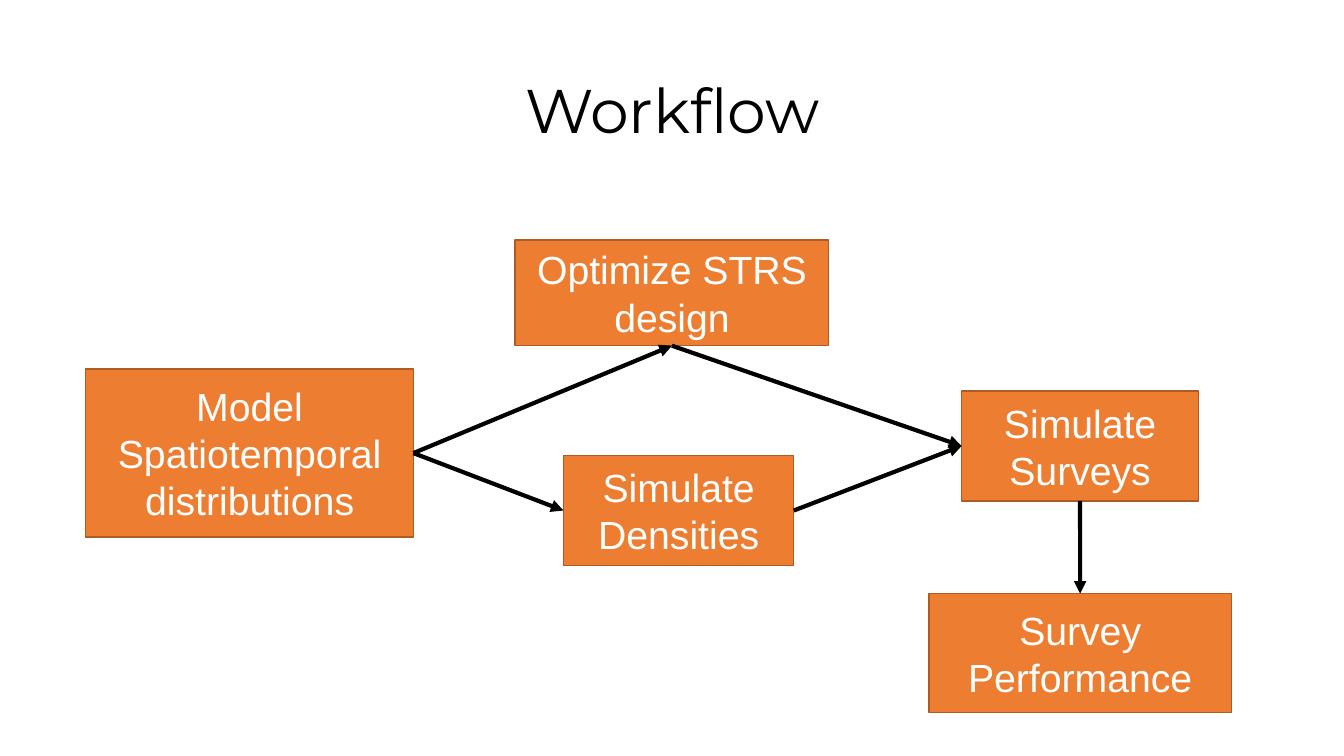
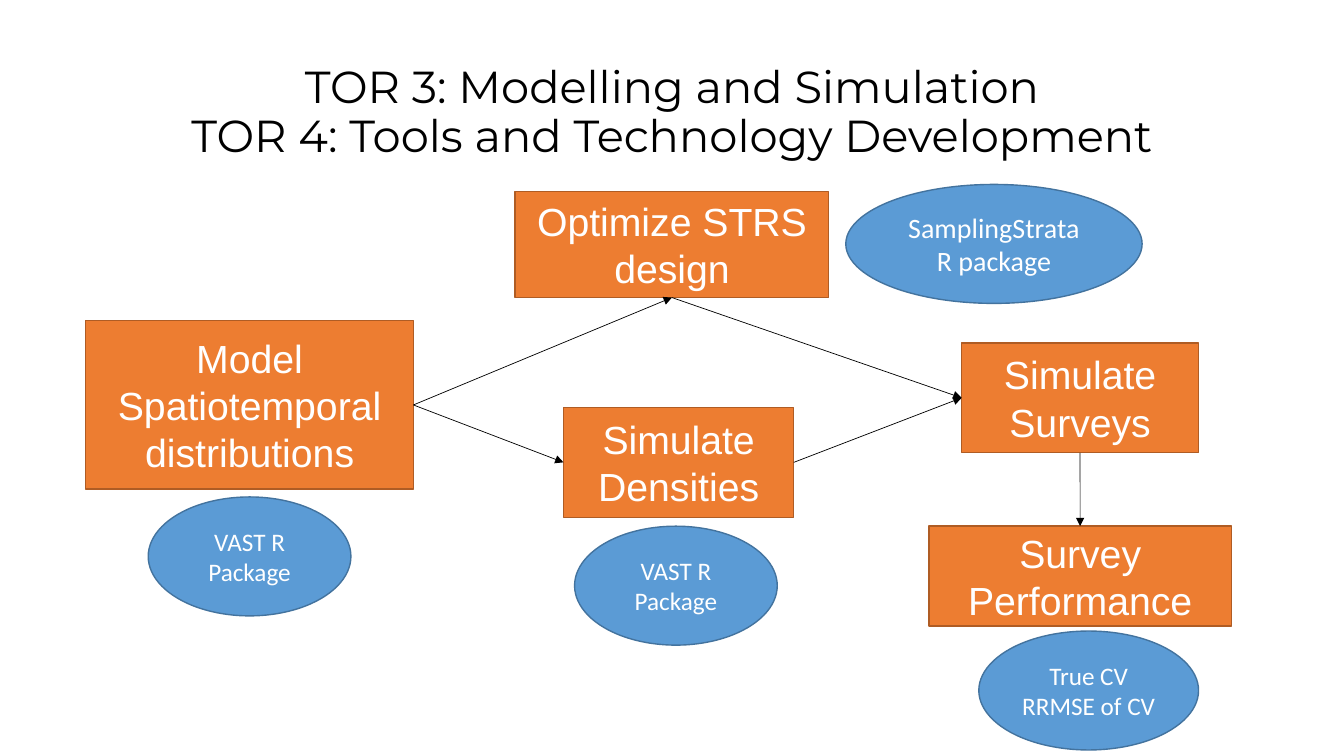
from copy import deepcopy
from dataclasses import dataclass, replace

from pptx import Presentation
from pptx import util as u
from pptx.dml.color import RGBColor
from pptx.enum import shapes, text
from pptx.oxml import ns
from pptx.oxml.xmlchemy import OxmlElement


@dataclass(frozen=True)
class Kind:
    """Look of one family of nodes."""
    shape: int
    fill: str
    line: str
    font: str


@dataclass(frozen=True)
class Theme:
    ink: str = "000000"
    light: str = "FFFFFF"
    title_font: str = "Montserrat"
    step_size: int = 28
    tool_size: int = 18
    tool_large: int = 20
    border: float = 1
    step: Kind = Kind(shapes.MSO_SHAPE.RECTANGLE, "ED7D31", "AF5C24", "Arial")
    tool: Kind = Kind(shapes.MSO_SHAPE.OVAL, "5B9BD5", "43739E", "Calibri")


@dataclass(frozen=True)
class Node:
    """Labelled shape; lengths are percent of the slide's width or height."""
    label: str
    x: float
    y: float
    w: float
    h: float
    kind: Kind
    size: int


@dataclass(frozen=True)
class Link:
    """Arrow between two steps, joined at numbered sides."""
    start: str
    start_side: int
    end: str
    end_side: int


THEME = Theme()
WIDTH, HEIGHT = u.Inches(13.333), u.Inches(7.5)
TOP, LEFT, BOTTOM, RIGHT = range(4)
TITLE_BOX = (6.9, 5.33, 86.25, 19.33)
RISE = 6.37  # the second workflow sits higher to leave room for the tools
TOOL_H = 15.73


def step(label: str, x: float, y: float, w: float, h: float) -> Node:
    return Node(label, x, y, w, h, THEME.step, THEME.step_size)


def tool(label: str, x: float, y: float, w: float, size: int = THEME.tool_size) -> Node:
    return Node(label, x, y, w, TOOL_H, THEME.tool, size)


STEPS = {
    "model": step("Model Spatiotemporal distributions", 6.38, 48.8, 24.38, 22.27),
    "densities": step("Simulate Densities", 41.93, 60.27, 17.13, 14.53),
    "surveys": step("Simulate Surveys", 71.55, 51.73, 17.63, 14.53),
    "performance": step("Survey Performance", 69.12, 78.53, 22.5, TOOL_H),
    "optimize": step("Optimize STRS design", 38.33, 31.73, 23.33, 14),
}
RAISED = {key: replace(n, y=n.y - RISE) for key, n in STEPS.items()}
RAISED["performance"] = replace(STEPS["performance"], y=69.6, h=13.2)

LINKS = (
    Link("model", RIGHT, "densities", LEFT),
    Link("densities", RIGHT, "surveys", LEFT),
    Link("surveys", BOTTOM, "performance", TOP),
    Link("model", RIGHT, "optimize", BOTTOM),
    Link("optimize", BOTTOM, "surveys", LEFT),
)

TOOLS = (
    tool("VAST R Package", 11.03, 65.73, 15.08),
    tool("VAST R Package", 42.75, 69.6, 15.08),
    tool("SamplingStrata R package", 62.93, 24.4, 22.05, THEME.tool_large),
    tool("True CV\vRRMSE of CV", 72.83, 83.47, 16.35),
)


def place(x: float, y: float, w: float, h: float) -> tuple[int, int, int, int]:
    """Turn percent of the slide into lengths."""
    return (int(WIDTH * x / 100), int(HEIGHT * y / 100),
            int(WIDTH * w / 100), int(HEIGHT * h / 100))


def write(sp, label: str, font: str, size: float, color: str, spacing: float = 1.0) -> None:
    """Fill a shape with centred text."""
    tf = sp.text_frame
    tf.text = label
    for name, value in {"word_wrap": True, "auto_size": text.MSO_AUTO_SIZE.NONE,
                        "vertical_anchor": text.MSO_ANCHOR.MIDDLE}.items():
        setattr(tf, name, value)
    p = tf.paragraphs[0]
    p.alignment, p.line_spacing = text.PP_ALIGN.CENTER, spacing
    for r in p.runs:
        for name, value in {"name": font, "size": u.Pt(size), "bold": False}.items():
            setattr(r.font, name, value)
        r.font.color.rgb = RGBColor.from_string(color)
    # Line breaks take the format of the runs
    for br in p._p.findall(ns.qn("a:br")):
        br.insert(0, deepcopy(p.runs[0]._r.rPr))


def draw_node(s, node: Node):
    sp = s.shapes.add_shape(node.kind.shape, *place(node.x, node.y, node.w, node.h))
    sp.shadow.inherit = False
    sp.fill.solid()
    sp.fill.fore_color.rgb = RGBColor.from_string(node.kind.fill)
    sp.line.color.rgb = RGBColor.from_string(node.kind.line)
    sp.line.width = u.Pt(THEME.border)
    write(sp, node.label, node.kind.font, node.size, THEME.light)
    return sp


def draw_link(s, boxes: dict, link: Link, weight: float) -> None:
    cx = s.shapes.add_connector(shapes.MSO_CONNECTOR.STRAIGHT, 0, 0, 0, 0)
    cx.begin_connect(boxes[link.start], link.start_side)
    cx.end_connect(boxes[link.end], link.end_side)
    cx.line.color.rgb = RGBColor.from_string(THEME.ink)
    cx.line.width = u.Pt(weight)
    # Arrowhead, and no shadow
    head = OxmlElement("a:tailEnd")
    head.set("type", "triangle")
    cx.line._get_or_add_ln().append(head)
    cx._element.spPr.append(OxmlElement("a:effectLst"))


def add_workflow(prs, title: str, title_size: float, steps: dict[str, Node],
                 weight: float, tools: tuple[Node, ...] = ()) -> None:
    s = prs.slides.add_slide(prs.slide_layouts[5])
    sp = s.shapes.title
    sp.left, sp.top, sp.width, sp.height = place(*TITLE_BOX)
    write(sp, title, THEME.title_font, title_size, THEME.ink, 0.9)
    boxes = {key: draw_node(s, node) for key, node in steps.items()}
    for link in LINKS:
        draw_link(s, boxes, link, weight)
    for node in tools:
        draw_node(s, node)


def main() -> None:
    prs = Presentation()
    prs.slide_width, prs.slide_height = WIDTH, HEIGHT
    add_workflow(prs, "Workflow", 44, STEPS, 3)
    add_workflow(prs, "TOR 3: Modelling and Simulation\vTOR 4: Tools and Technology Development",
                 32, RAISED, 0.5, TOOLS)
    prs.save("out.pptx")


if __name__ == "__main__":
    main()
